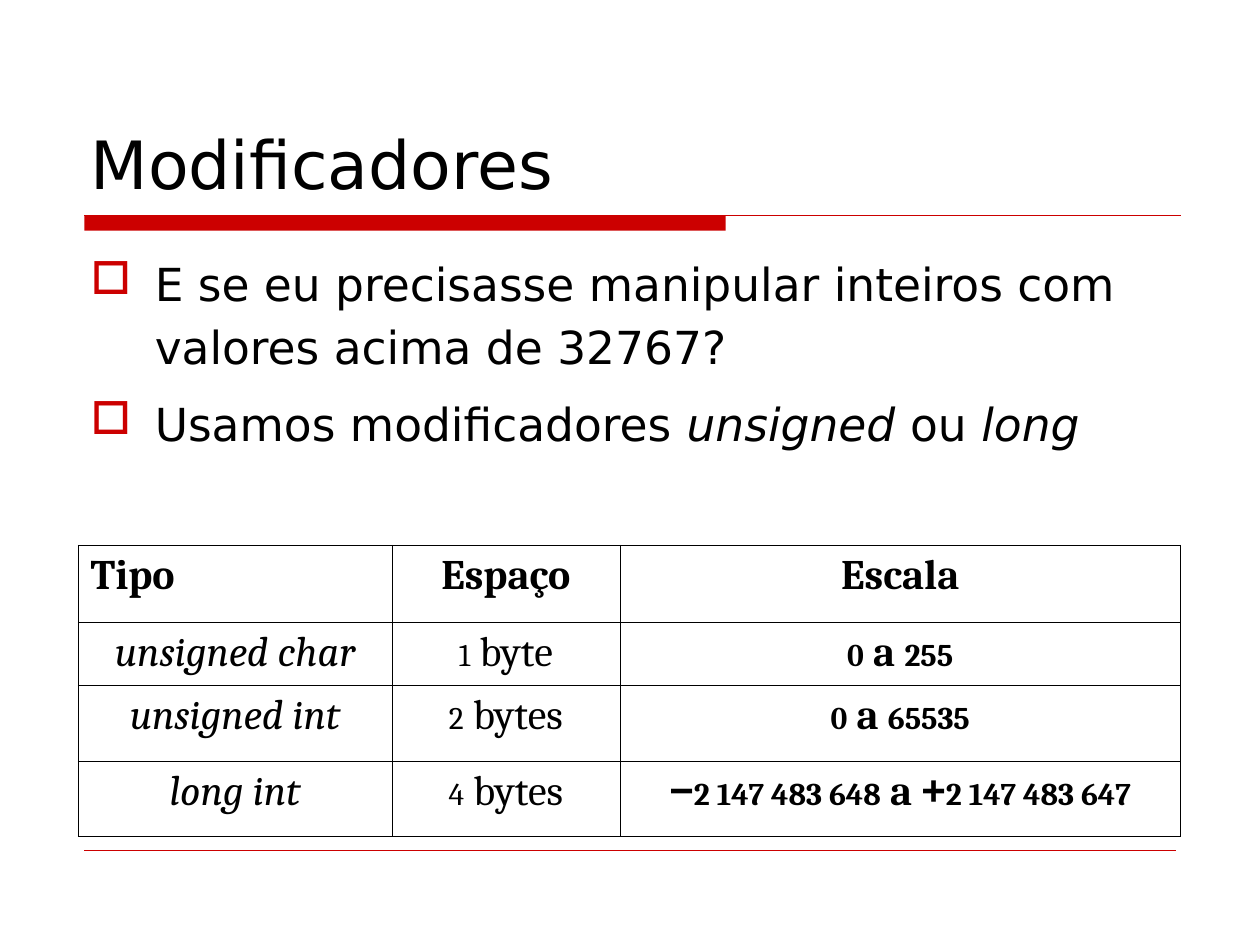
"""Build the slide on integer type modifiers, with its bullets and table of ranges."""
import pptx
import pptx.util
import pptx.dml.color
import pptx.enum.shapes
import pptx.enum.text
import pptx.oxml
import pptx.oxml.ns
from lxml import etree

Inches, Pt = pptx.util.Inches, pptx.util.Pt
RGBColor = pptx.dml.color.RGBColor
Align, Anchor = pptx.enum.text.PP_ALIGN, pptx.enum.text.MSO_ANCHOR
qn = pptx.oxml.ns.qn

BLACK = RGBColor(0, 0, 0)
WHITE = RGBColor(255, 255, 255)
RED = RGBColor(204, 0, 0)
SANS, SERIF, SIGNS = "DejaVu Sans", "Cambria", "Arial"

TITLE = "Modificadores"
BULLETS = [
    [("E se eu precisasse manipular inteiros com valores acima de 32767?", False)],
    [("Usamos modificadores ", False), ("unsigned ", True), ("ou ", False), ("long", True)],
]
TABLE = [
    [["Tipo"], ["Espaço"], ["Escala"]],
    [["unsigned char"], ["1", " byte"], ["0", " a ", "255"]],
    [["unsigned int"], ["2", " bytes"], ["0", " a ", "65535"]],
    [["long int"], ["4", " bytes"], ["−", "2 147 483 648", " a ", "+", "2 147 483 647"]],
]
COLUMN_WIDTHS = [2.49, 1.81, 4.45]
ROW_HEIGHTS = [0.61, 0.5, 0.6, 0.6]
LEFT, WIDTH = 0.62, 8.75
RULE_LEFT, RULE_TOP = 0.67, 1.71
HANG = 0.51
THIN, THICK = 0.34, 0.96


def style_font(font, name, size, color=BLACK):
    font.name, font.size, font.color.rgb = name, Pt(size), color


def add_rule(page, right, top, width):
    rule = page.shapes.add_connector(
        pptx.enum.shapes.MSO_CONNECTOR.STRAIGHT,
        Inches(RULE_LEFT), Inches(top), Inches(right), Inches(top))
    rule.line.color.rgb = RED
    rule.line.width = Pt(width)
    etree.SubElement(rule._element.spPr, qn("a:effectLst"))


def add_bullet(para):
    properties = para._p.get_or_add_pPr()
    properties.set("marL", str(Inches(HANG)))
    properties.set("indent", str(-Inches(HANG)))
    color = etree.SubElement(properties, qn("a:buClr"))
    etree.SubElement(color, qn("a:srgbClr"), val=str(RED))
    etree.SubElement(properties, qn("a:buChar"), char="□")


def add_borders(cell, top, bottom):
    properties = cell._tc.get_or_add_tcPr()
    for side, width in (("L", THIN), ("R", THIN), ("T", top), ("B", bottom)):
        line = etree.SubElement(properties, qn("a:ln" + side), w=str(Pt(width)))
        fill = etree.SubElement(line, qn("a:solidFill"))
        etree.SubElement(fill, qn("a:srgbClr"), val=str(BLACK))


def add_title(page):
    title = page.shapes.title
    title.left, title.top = Inches(LEFT), Inches(0.33)
    title.width, title.height = Inches(WIDTH), Inches(1.33)
    title.text_frame.text = TITLE
    title.text_frame.vertical_anchor = Anchor.BOTTOM
    para = title.text_frame.paragraphs[0]
    para.alignment = Align.LEFT
    style_font(para.font, SANS, 38)


def add_body(page):
    box = page.shapes.add_textbox(Inches(LEFT), Inches(1.92), Inches(WIDTH), Inches(1.91))
    box.fill.solid()
    box.fill.fore_color.rgb = WHITE
    frame = box.text_frame
    frame.word_wrap = True
    for index, spans in enumerate(BULLETS):
        para = frame.add_paragraph() if index else frame.paragraphs[0]
        para.line_spacing = 1.15
        if index:
            para.space_before = Pt(8.1)
        add_bullet(para)
        style_font(para.font, SANS, 26)
        for text, italic in spans:
            span = para.add_run()
            span.text = text
            span.font.italic = italic


def fill_cell(cell, texts, row, column):
    add_borders(cell, THIN if row else THICK, THICK if row == len(TABLE) - 1 else THIN)
    cell.fill.solid()
    cell.fill.fore_color.rgb = WHITE
    para = cell.text_frame.paragraphs[0]
    para.alignment = Align.CENTER if row or column else Align.LEFT
    for text in texts:
        span = para.add_run()
        span.text = text
        style_font(span.font, SIGNS if text in "−+" else SERIF, 18 if text[0].isdigit() else 24)
        span.font.bold = row == 0 or column == 2
        span.font.italic = row > 0 and column == 0


def add_ranges(page):
    table = page.shapes.add_table(
        len(TABLE), len(COLUMN_WIDTHS), Inches(LEFT), Inches(4.33),
        Inches(WIDTH), Inches(sum(ROW_HEIGHTS))).table
    table.first_row = table.horz_banding = False
    for column, width in zip(table.columns, COLUMN_WIDTHS):
        column.width = Inches(width)
    for row, height in enumerate(ROW_HEIGHTS):
        table.rows[row].height = Inches(height)
        for column, texts in enumerate(TABLE[row]):
            fill_cell(table.cell(row, column), texts, row, column)


def main():
    deck = pptx.Presentation()
    deck.slide_width, deck.slide_height = Inches(10), Inches(7.5)
    page = deck.slides.add_slide(deck.slide_layouts[5])
    bar = page.shapes.add_shape(
        pptx.enum.shapes.MSO_SHAPE.RECTANGLE,
        Inches(RULE_LEFT), Inches(RULE_TOP), Inches(5.09), Inches(0.12))
    bar.shadow.inherit = False
    bar.fill.solid()
    bar.fill.fore_color.rgb = RED
    bar.line.fill.background()
    add_rule(page, LEFT + WIDTH, RULE_TOP, 0.75)
    add_rule(page, 9.33, 6.75, 0.25)
    add_title(page)
    add_body(page)
    add_ranges(page)
    deck.save("out.pptx")


if __name__ == "__main__":
    main()
